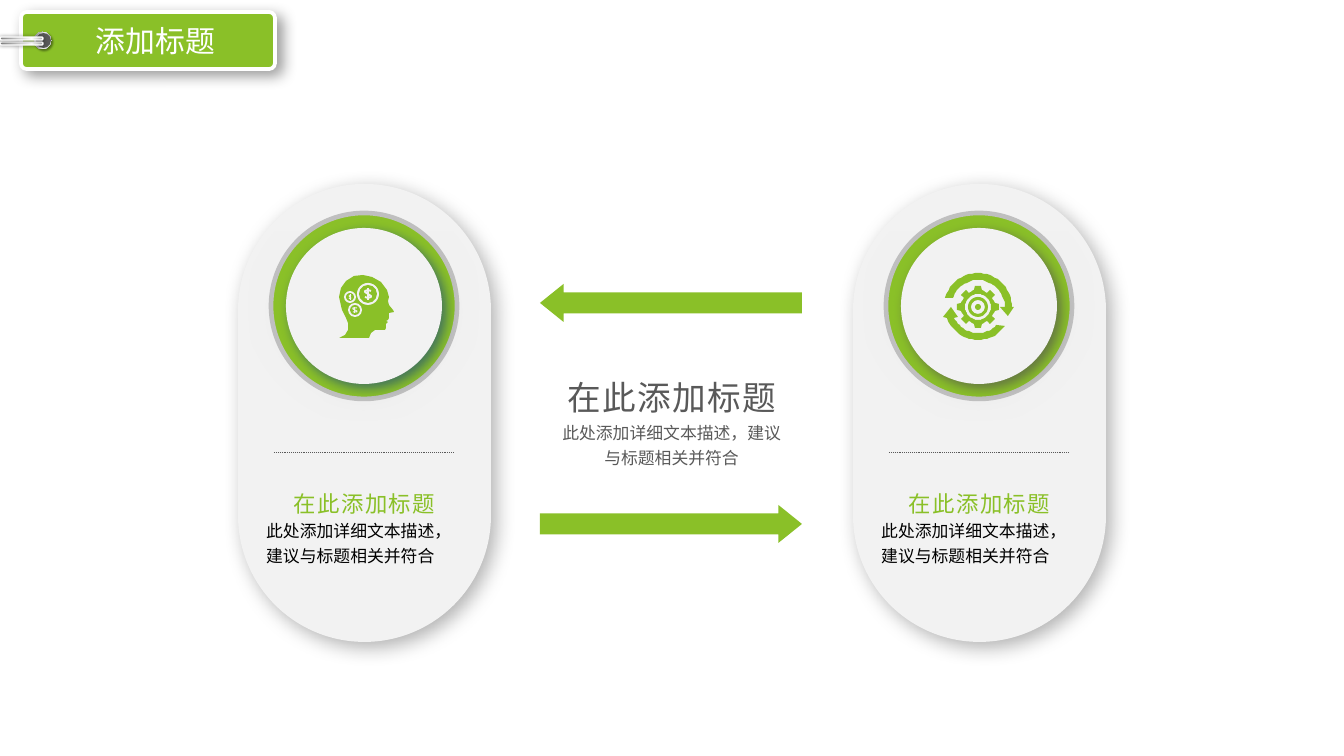
from math import cos, radians, sin

from lxml import etree
from pptx import Presentation
from pptx.dml.color import RGBColor
from pptx.enum.dml import MSO_LINE
from pptx.enum.shapes import MSO_CONNECTOR, MSO_SHAPE
from pptx.enum.text import MSO_ANCHOR, PP_ALIGN
from pptx.oxml.ns import qn
from pptx.util import Pt

PX = 914400 / 134.4
COLORS = {
    "green": "8AC028", "panel": "F2F2F2", "rim": "BFBFBF", "white": "FFFFFF",
    "black": "000000", "dark": "595959", "blue": "1F4E79", "gray": "525252",
}
EYELET_STOPS = [(0, "FFFFFF"), (17, "A6A6A6"), (35, "F2F2F2"),
                (55, "A6A6A6"), (75, "F2F2F2"), (100, "A6A6A6")]
BAR_STOPS = [(0, "808080"), (23, "A6A6A6"), (52, "D9D9D9"),
             (74, "FFFFFF"), (100, "A6A6A6")]
HALO_STOPS = [(0, "FFFFFF"), (100, "BFBFBF")]
HEADING = "在此添加标题"
DETAIL = "此处添加详细文本描述，建议与标题相关并符合"
HEAD_OUTLINE = [
    (0, 22), (2, 13), (7, 6), (15, 1), (24, 0), (33, 2), (42, 7), (48, 15),
    (50, 22), (49, 26), (50, 30), (54, 35), (55, 37), (50, 38), (50, 43),
    (49, 45), (47, 46), (49, 47), (47, 49), (47, 53), (46, 55), (36, 55),
    (32, 58), (30, 63), (0, 63), (6, 60), (9, 55), (9, 48), (7, 43), (3, 35),
]
DOLLAR = [(2, -2), (0, -3), (-2, -2), (-2, -1), (2, 1), (2, 2), (0, 3), (-2, 2)]


def emu(px):
    return round(px * PX)


def rgb(name):
    return RGBColor.from_string(COLORS[name])


def add_color(parent, value, alpha=100):
    color = etree.SubElement(parent, qn("a:srgbClr"), val=value)
    if alpha < 100:
        etree.SubElement(color, qn("a:alpha"), val=str(alpha * 1000))


def paint(shape, fill, line=None, width=0):
    shape.shadow.inherit = False
    if fill:
        shape.fill.solid()
        shape.fill.fore_color.rgb = rgb(fill)
    else:
        shape.fill.background()
    if line:
        shape.line.color.rgb = rgb(line)
        shape.line.width = Pt(width)
    else:
        shape.line.fill.background()


def add_block(slide, kind, x, y, w, h, fill, line=None, width=0, adj=()):
    shape = slide.shapes.add_shape(kind, emu(x), emu(y), emu(w), emu(h))
    for index, value in enumerate(adj):
        shape.adjustments[index] = value
    paint(shape, fill, line, width)
    return shape


def add_disc(slide, cx, cy, radius, fill, line=None, width=0):
    return add_block(slide, MSO_SHAPE.OVAL, cx - radius, cy - radius,
                     2 * radius, 2 * radius, fill, line, width)


def add_outline(slide, x, y, contours, fill="green", line=None, width=0, close=True):
    """Draw contours, given in px relative to (x, y), as one freeform."""
    builder = None
    for first, *rest in contours:
        if builder is None:
            builder = slide.shapes.build_freeform(*first, scale=PX)
        else:
            builder.move_to(*first)
        builder.add_line_segments(rest, close=close)
    paint(builder.convert_to_shape(emu(x), emu(y)), fill, line, width)


def cast_shadow(shape, color, alpha, blur, dist, angle):
    effects = shape._element.spPr.find(qn("a:effectLst"))
    shadow = etree.SubElement(
        effects, qn("a:outerShdw"), blurRad=str(Pt(blur)), dist=str(Pt(dist)),
        dir=str(angle * 60000), algn="tl", rotWithShape="0")
    add_color(shadow, COLORS[color], alpha)


def fill_gradient(shape, stops, angle):
    properties = shape._element.spPr
    solid = properties.find(qn("a:solidFill"))
    gradient = etree.Element(qn("a:gradFill"), rotWithShape="1")
    stop_list = etree.SubElement(gradient, qn("a:gsLst"))
    for position, value in stops:
        add_color(etree.SubElement(stop_list, qn("a:gs"), pos=str(position * 1000)), value)
    etree.SubElement(gradient, qn("a:lin"), ang=str(angle * 60000), scaled="0")
    properties.replace(solid, gradient)


def add_text(slide, x, y, w, h, words, size, color, font="Arial", align=PP_ALIGN.CENTER,
             spacing=None, tracking=0, anchor=MSO_ANCHOR.MIDDLE):
    frame = slide.shapes.add_textbox(emu(x), emu(y), emu(w), emu(h)).text_frame
    frame.word_wrap = True
    frame.vertical_anchor = anchor
    frame.text = words
    paragraph = frame.paragraphs[0]
    paragraph.alignment = align
    if spacing:
        paragraph.line_spacing = spacing
    run = paragraph.runs[0]
    run.font.size = Pt(size)
    run.font.name = font
    run.font.color.rgb = rgb(color)
    if tracking:
        run.font._element.set("spc", str(tracking))


def arc(radius, start, end, step=5):
    return [(radius * cos(radians(a)), radius * sin(radians(a)))
            for a in range(start, end + 1, step)]


def add_head_icon(slide, cx, cy):
    x, y = cx - 25, cy - 31
    add_outline(slide, x, y, [HEAD_OUTLINE])
    for coin_x, coin_y, hole, coin in [(11, 22, 6, 4), (16, 35, 7, 5), (29, 19, 11, 9)]:
        add_disc(slide, x + coin_x, y + coin_y, hole, "panel")
        add_disc(slide, x + coin_x, y + coin_y, coin, "green")
        unit = coin / 6
        strokes = [[(px * unit, py * unit) for px, py in stroke]
                   for stroke in (DOLLAR, [(0, -4), (0, 4)])]
        add_outline(slide, x + coin_x, y + coin_y, strokes, None, "panel", coin / 9, False)


def add_gear_icon(slide, cx, cy):
    x, y = cx - 1, cy + 1
    top_arrow = arc(34, 195, 360) + [(36, 0), (30, 9), (22, 0)] + arc(27, 200, 360)[::-1]
    low_arrow = arc(33, 35, 160) + [(-35, 10), (-27, 0), (-20, 10)] + arc(26, 45, 155)[::-1]
    teeth = []
    for angle in range(0, 360, 45):
        teeth += arc(21, angle - 9, angle + 9, 18) + arc(17, angle + 12, angle + 33, 7)
    add_outline(slide, x, y, [top_arrow])
    add_outline(slide, x, y, [low_arrow])
    add_outline(slide, x, y, [teeth, arc(13, 0, 355)])
    add_block(slide, MSO_SHAPE.DONUT, x - 10, y - 10, 20, 20, "green", adj=[0.15])
    add_disc(slide, x, y, 3, "green")


def add_title_tag(slide, x, y, w, h):
    tag = add_block(slide, MSO_SHAPE.ROUNDED_RECTANGLE, x, y, w, h, "green", "white", 2, [0.1])
    cast_shadow(tag, "black", 40, 8, 4, 45)
    eyelet = add_block(slide, MSO_SHAPE.OVAL, x + 13, y + 20, 17, 17, "rim")
    fill_gradient(eyelet, EYELET_STOPS, 45)
    cast_shadow(eyelet, "black", 40, 1, 1, 45)
    add_block(slide, MSO_SHAPE.OVAL, x + 15, y + 21, 15, 15, "dark")
    for bar_y in (y + 30, y + 25):
        bar = add_block(slide, MSO_SHAPE.ROUNDED_RECTANGLE, 0, bar_y, x + 22, 3,
                        "rim", "white", 0.75, [0.5])
        fill_gradient(bar, BAR_STOPS, 0)
        cast_shadow(bar, "black", 40, 2, 0, 0)
    add_text(slide, x + 15, y + 4, w - 15, 50, "添加标题", 16, "white", "Noto Sans CJK SC")


def add_panel(slide, x, y, w, h, add_icon, shade):
    capsule = add_block(slide, MSO_SHAPE.ROUNDED_RECTANGLE, x, y, w, h, "panel", adj=[0.5])
    cast_shadow(capsule, "black", 29, 11, 4, 45)
    cx, cy = x + w // 2, y + 122
    halo = add_disc(slide, cx, cy, 128, "white")
    fill_gradient(halo, HALO_STOPS, 90)
    etree.SubElement(halo._element.spPr.find(qn("a:effectLst")),
                     qn("a:softEdge"), rad=str(Pt(25)))
    add_disc(slide, cx, cy, 93, "green", "rim", 2.5)
    cast_shadow(add_disc(slide, cx, cy, 78, "panel"), shade, 64, 6, 3, 45)
    add_text(slide, x + 15, y + 325, w - 29, 62, DETAIL, 9, "black",
             align=PP_ALIGN.LEFT, spacing=1.25, anchor=MSO_ANCHOR.TOP)
    add_text(slide, x - 3, y + 300, w + 6, 40, HEADING, 12, "green", tracking=80)
    rule = slide.shapes.add_connector(MSO_CONNECTOR.STRAIGHT, emu(x + 36), emu(y + 269),
                                      emu(x + 216), emu(y + 269))
    rule.line.color.rgb = rgb("dark")
    rule.line.width = Pt(0.5)
    rule.line.dash_style = MSO_LINE.ROUND_DOT
    etree.SubElement(rule._element.spPr, qn("a:effectLst"))
    add_icon(slide, cx, cy)


def add_exchange(slide, x, y, w):
    for kind, top in ((MSO_SHAPE.LEFT_ARROW, y), (MSO_SHAPE.RIGHT_ARROW, y + 221)):
        add_block(slide, kind, x, top, w, 38, "green", adj=[0.55, 0.62])
    add_text(slide, x + 6, y + 127, w - 11, 60, DETAIL, 9, "dark",
             spacing=1.25, anchor=MSO_ANCHOR.TOP)
    add_text(slide, x + 13, y + 86, w - 24, 54, HEADING, 18, "dark", tracking=80)


def main():
    deck = Presentation()
    deck.slide_width, deck.slide_height = emu(1344), emu(756)
    slide = deck.slides.add_slide(deck.slide_layouts[6])
    add_title_tag(slide, 21, 12, 254, 57)
    add_panel(slide, 238, 184, 253, 458, add_head_icon, "blue")
    add_panel(slide, 853, 184, 253, 458, add_gear_icon, "gray")
    add_exchange(slide, 540, 284, 262)
    deck.save("out.pptx")


if __name__ == "__main__":
    main()
